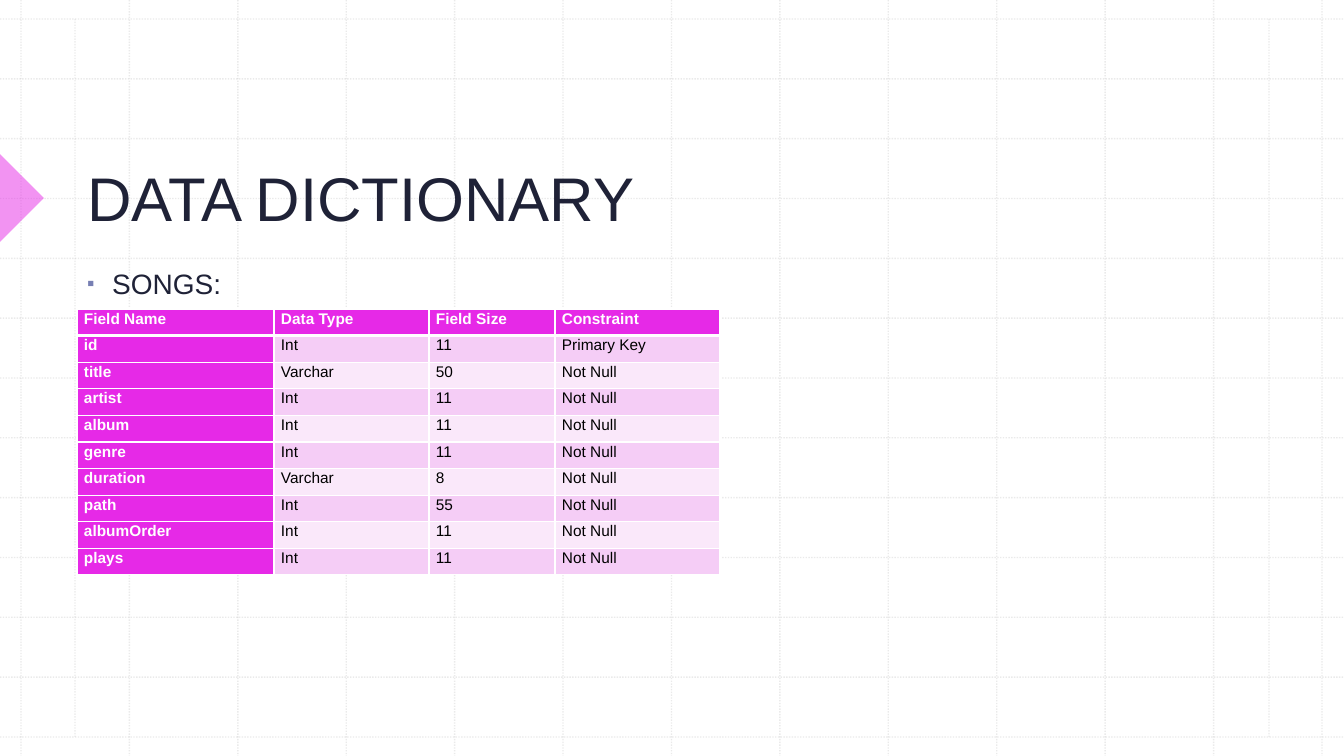
from dataclasses import dataclass

from lxml.etree import SubElement
from pptx import Presentation
from pptx.dml.color import RGBColor
from pptx.enum.dml import MSO_LINE
from pptx.enum.shapes import MSO_CONNECTOR, MSO_SHAPE
from pptx.enum.text import MSO_ANCHOR, MSO_AUTO_SIZE, PP_ALIGN
from pptx.oxml.ns import qn
from pptx.util import Pt


@dataclass(frozen=True)
class Theme:
    font: str = "Arial"
    ink: str = "1F2237"
    black: str = "000000"
    white: str = "FFFFFF"
    accent: str = "E629E7"
    bands: tuple = ("F5CDF6", "FAE8FA")
    bullet: str = "777FB3"
    grid: str = "BCBCBC"
    title_size: int = 44
    body_size: int = 20
    table_size: int = 11


THEME = Theme()
EMU_PER_PIXEL = 914400 / 100.8
PAGE_BOX = (0, 0, 1344, 756)

COLUMN_WIDTHS = (197, 155, 126, 165)
FIELDS = (
    ("Field Name", "Data Type", "Field Size", "Constraint"),
    ("id", "Int", "11", "Primary Key"),
    ("title", "Varchar", "50", "Not Null"),
    ("artist", "Int", "11", "Not Null"),
    ("album", "Int", "11", "Not Null"),
    ("genre", "Int", "11", "Not Null"),
    ("duration", "Varchar", "8", "Not Null"),
    ("path", "Int", "55", "Not Null"),
    ("albumOrder", "Int", "11", "Not Null"),
    ("plays", "Int", "11", "Not Null"),
)


def px(length):
    return round(length * EMU_PER_PIXEL)


def add_xml(parent, tag, **attributes):
    return SubElement(parent, qn(tag), attributes)


def set_opacity(element, percent):
    color = next(element.iter(qn("a:srgbClr")))
    add_xml(color, "a:alpha", val=str(percent * 1000))


def style_font(para, size, color, bold=False):
    font = para.font
    font.name, font.size, font.bold = THEME.font, Pt(size), bold
    font.color.rgb = RGBColor.from_string(color)


def fill_placeholder(holder, box, text, anchor):
    holder.left, holder.top, holder.width, holder.height = map(px, box)
    frame = holder.text_frame
    frame.word_wrap = True
    frame.auto_size = MSO_AUTO_SIZE.NONE
    frame.vertical_anchor = anchor
    para = frame.paragraphs[0]
    para.text = text
    para.alignment = PP_ALIGN.LEFT
    return para


# Background grid, kept behind everything else
def draw_grid(page, box):
    left, top, width, height = box
    right, bottom = left + width, top + height
    first_x, last_x, first_y, last_y, steps = left + 21, right - 22, top + 19, bottom - 19, 12
    ends = []
    for index in range(steps + 1):
        x = first_x + (last_x - first_x) * index / steps
        y = first_y + (last_y - first_y) * index / steps
        ends += [(x, top, x, bottom), (left, y, right, y)]
    ends += [(x, first_y, x, last_y) for x in (left + 75, right - 75)]

    group = page.shapes.add_group_shape()
    for points in ends:
        connector = group.shapes.add_connector(MSO_CONNECTOR.STRAIGHT, *map(px, points))
        line = connector.line
        line.color.rgb = RGBColor.from_string(THEME.grid)
        line.width = Pt(1)
        line.dash_style = MSO_LINE.ROUND_DOT
        properties = connector.element.spPr
        set_opacity(properties, 30)
        add_xml(properties, "a:effectLst")
    page.shapes.element.insert(2, group.element)


# Half-transparent pointer on the left edge
def draw_pointer(page, box):
    pointer = page.shapes.add_shape(MSO_SHAPE.RIGHT_TRIANGLE, *map(px, box))
    pointer.rotation = 225
    pointer.shadow.inherit = False
    pointer.fill.solid()
    pointer.fill.fore_color.rgb = RGBColor.from_string(THEME.accent)
    set_opacity(pointer.element.spPr, 50)
    pointer.line.fill.background()


def write_title(page, box, text):
    para = fill_placeholder(page.shapes.title, box, text, MSO_ANCHOR.BOTTOM)
    style_font(para, THEME.title_size, THEME.ink)


# Bulleted heading above the table
def write_body(page, box, text):
    para = fill_placeholder(page.placeholders[1], box, text, MSO_ANCHOR.TOP)
    para.line_spacing = 1.1
    para.space_before = Pt(10)
    properties = para._p.get_or_add_pPr()
    properties.set("marL", str(px(25)))
    properties.set("indent", str(px(-25)))
    add_xml(add_xml(properties, "a:buClr"), "a:srgbClr", val=THEME.bullet)
    add_xml(properties, "a:buSzPct", val="75000")
    add_xml(properties, "a:buFont", typeface=THEME.font)
    add_xml(properties, "a:buChar", char="▪")
    style_font(para, THEME.body_size, THEME.ink)


def set_borders(cell, widths):
    properties = cell._tc.get_or_add_tcPr()
    for side, width in zip("LRTB", widths):
        border = add_xml(properties, f"a:ln{side}", w=str(Pt(width)))
        add_xml(add_xml(border, "a:solidFill"), "a:srgbClr", val=THEME.white)


# Field table: accent header row and first column, banded values
def draw_table(page, box, rows, widths):
    table = page.shapes.add_table(len(rows), len(widths), *map(px, box)).table
    table.horz_banding = False
    for column, width in zip(table.columns, widths):
        column.width = px(width)
    for row_index, texts in enumerate(rows):
        table.rows[row_index].height = px(box[3] / len(rows))
        for column_index, text in enumerate(texts):
            heading = row_index == 0 or column_index == 0
            cell = table.cell(row_index, column_index)
            cell.margin_left = cell.margin_right = px(7)
            cell.margin_top = cell.margin_bottom = 0
            set_borders(cell, (1, 1, 3 if row_index == 1 else 1, 3 if row_index == 0 else 1))
            cell.fill.solid()
            fill = THEME.accent if heading else THEME.bands[(row_index - 1) % 2]
            cell.fill.fore_color.rgb = RGBColor.from_string(fill)
            para = cell.text_frame.paragraphs[0]
            para.text = text
            para.line_spacing = 1.07
            para.space_after = Pt(8)
            style_font(para, THEME.table_size, THEME.white if heading else THEME.black, heading)


def build_page(deck):
    page = deck.slides.add_slide(deck.slide_layouts[1])
    draw_grid(page, PAGE_BOX)
    draw_pointer(page, (-31, 167, 62, 62))
    write_title(page, (77, 80, 1138, 159), "DATA DICTIONARY")
    write_body(page, (77, 258, 1138, 393), "SONGS:")
    draw_table(page, (77, 309, sum(COLUMN_WIDTHS), 266), FIELDS, COLUMN_WIDTHS)


deck = Presentation()
deck.slide_width, deck.slide_height = map(px, PAGE_BOX[2:])
build_page(deck)
deck.save("out.pptx")
